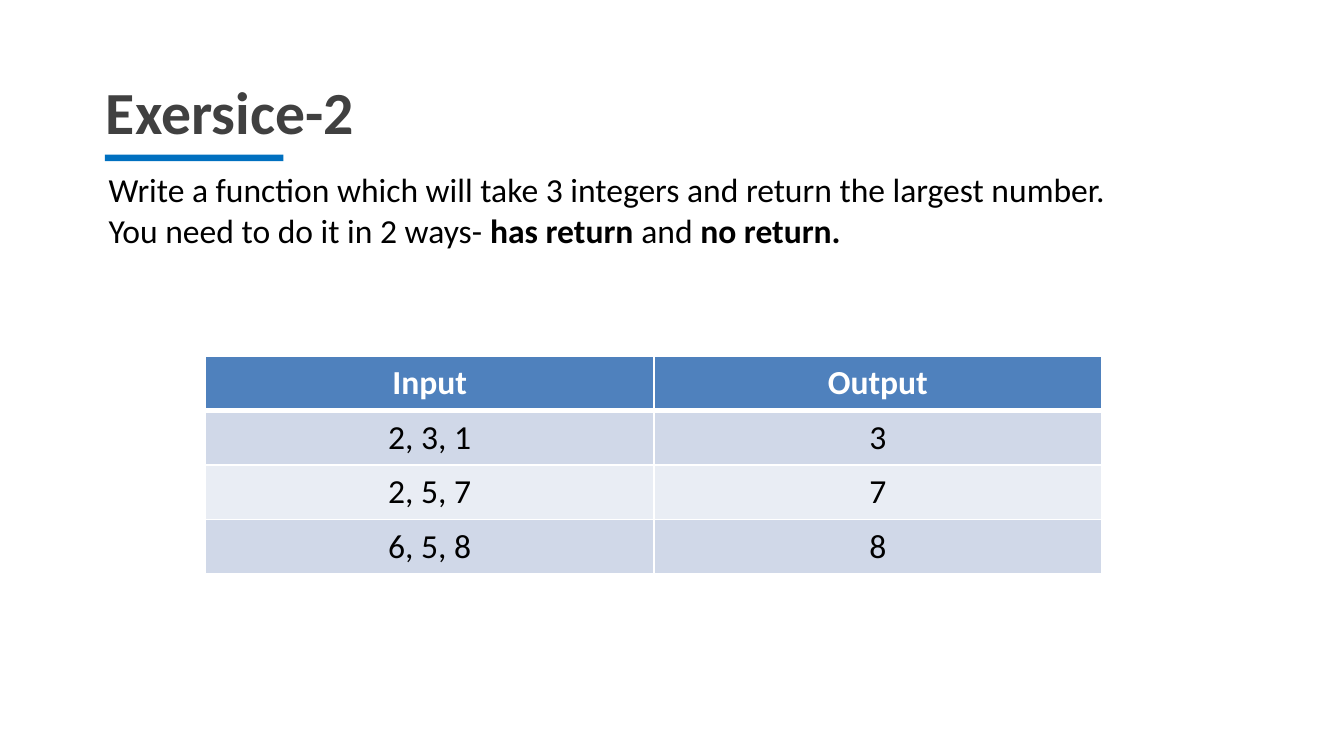
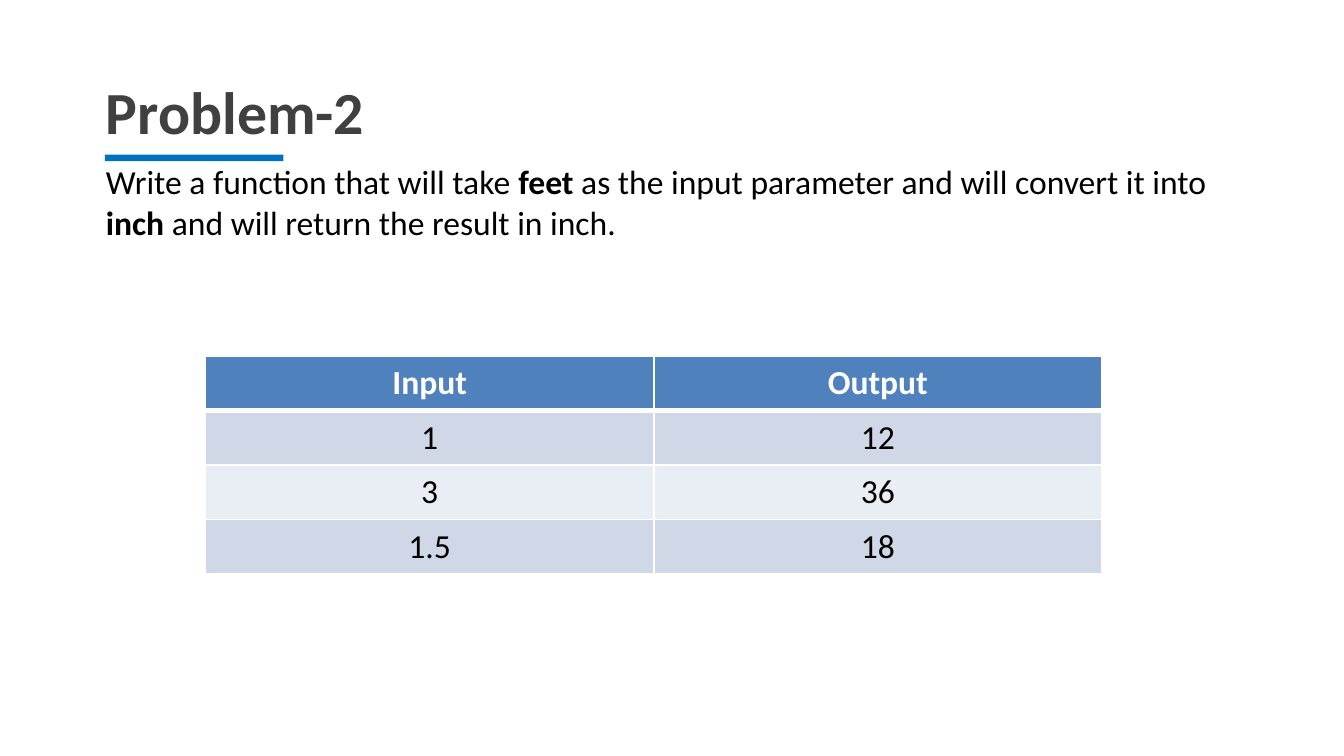
from lxml import etree
from pptx import Presentation
from pptx.dml.color import RGBColor
from pptx.enum.shapes import MSO_SHAPE
from pptx.enum.text import MSO_AUTO_SIZE, PP_ALIGN
from pptx.oxml.ns import qn
from pptx.util import Inches, Pt

RECT = MSO_SHAPE.RECTANGLE
CENTER = PP_ALIGN.CENTER
GROW = MSO_AUTO_SIZE.SHAPE_TO_FIT_TEXT

FONT = "Calibri"
COLORS = {
    "title": "404040",
    "text": "000000",
    "accent": "0070C0",
    "header": "4F81BD",
    "odd": "D0D8E8",
    "even": "E9EDF4",
    "white": "FFFFFF",
}


def rgb(name):
    return RGBColor.from_string(COLORS[name])


class Deck:
    def __init__(self):
        self.prs = Presentation()
        # Widescreen, 16:9
        self.prs.slide_width = Inches(10)
        self.prs.slide_height = Inches(10 * 9 / 16)
        self.s = None

    def slide(self, title):
        """Start a slide with its title."""
        self.s = self.prs.slides.add_slide(self.prs.slide_layouts[6])
        self.text(0.69, 0.51, 8.33, 0.64, [[(title, True)]], 32, "title")

    def run(self, p, text, bold, size=18, color="text"):
        r = p.add_run()
        r.text = text
        r.font.name, r.font.size, r.font.bold = FONT, Pt(size), bold
        r.font.color.rgb = rgb(color)

    def text(self, x, y, w, h, paragraphs, size=18, color="text"):
        """Each paragraph is a list of (text, bold) runs."""
        box = self.s.shapes.add_textbox(Inches(x), Inches(y), Inches(w), Inches(h))
        tf = box.text_frame
        tf.word_wrap, tf.auto_size = True, GROW
        for i, runs in enumerate(paragraphs):
            p = tf.add_paragraph() if i else tf.paragraphs[0]
            for text, bold in runs:
                self.run(p, text, bold, size, color)

    def underline(self):
        bar = self.s.shapes.add_shape(RECT, Inches(0.78), Inches(1.15), Inches(1.33), Inches(0.05))
        bar.shadow.inherit = False
        bar.fill.solid()
        bar.fill.fore_color.rgb = rgb("accent")
        bar.line.fill.background()

    def borders(self, cell, top, bottom):
        tc_pr = cell._tc.get_or_add_tcPr()
        widths = {"a:lnL": 1, "a:lnR": 1, "a:lnT": top, "a:lnB": bottom}
        for tag, width in widths.items():
            ln = etree.SubElement(tc_pr, qn(tag), w=str(Pt(width)))
            fill = etree.SubElement(ln, qn("a:solidFill"))
            etree.SubElement(fill, qn("a:srgbClr"), val=COLORS["white"])

    def table(self, rows):
        """Draw a header row and banded rows, split by white rules."""
        frame = self.s.shapes.add_table(len(rows), len(rows[0]), Inches(1.53), Inches(2.65),
                                        Inches(6.67), Inches(1.62))
        for i, row in enumerate(rows):
            band = "header" if i == 0 else "odd" if i % 2 else "even"
            for j, value in enumerate(row):
                cell = frame.table.cell(i, j)
                self.borders(cell, 3 if i == 1 else 1, 3 if i == 0 else 1)
                cell.fill.solid()
                cell.fill.fore_color.rgb = rgb(band)
                p = cell.text_frame.paragraphs[0]
                p.alignment = CENTER
                self.run(p, value, i == 0, color="text" if i else "white")


def main():
    deck = Deck()
    header = ("Input", "Output")

    # Exercise: largest of three integers
    deck.slide("Exersice-2")
    deck.text(0.71, 1.21, 8.19, 0.71, [
        [("Write a function which will take 3 integers and return the largest number.", False)],
        [("You need to do it in 2 ways- ", False), ("has return ", True),
         ("and ", False), ("no return.", True)],
    ])
    deck.table([header, ("2, 3, 1", "3"), ("2, 5, 7", "7"), ("6, 5, 8", "8")])
    deck.underline()

    # Problem: feet to inches
    deck.slide("Problem-2")
    deck.text(0.69, 1.15, 8.47, 0.71, [
        [("Write a function that will take ", False), ("feet", True),
         (" as the input parameter and will convert it into ", False),
         ("inch", True), (" and will return the result in inch.", False)],
    ])
    deck.table([header, ("1", "12"), ("3", "36"), ("1.5", "18")])
    deck.underline()

    deck.prs.save("out.pptx")


if __name__ == "__main__":
    main()
